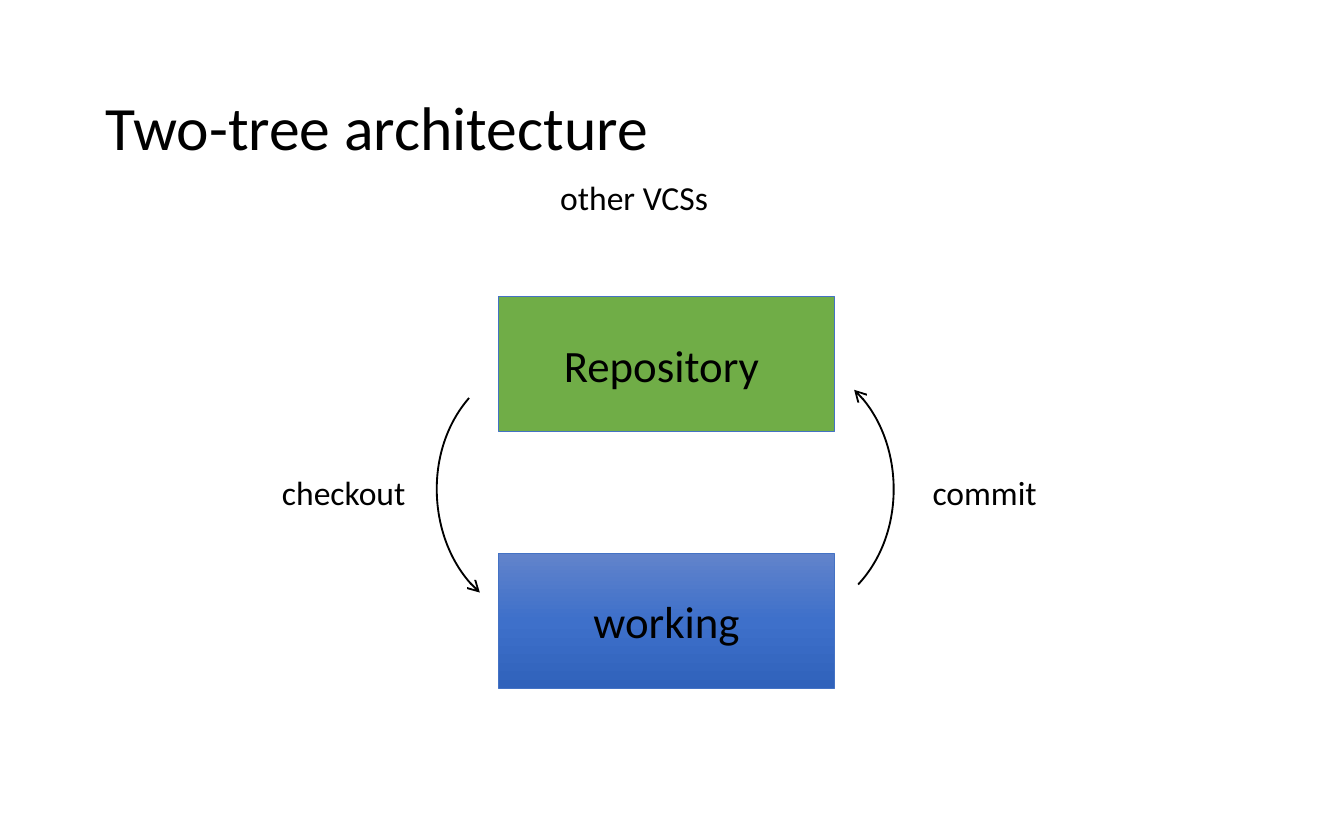
from copy import deepcopy

from lxml import etree
from pptx import Presentation
from pptx.dml.color import RGBColor
from pptx.enum.shapes import MSO_CONNECTOR, MSO_SHAPE
from pptx.enum.text import MSO_ANCHOR, PP_ALIGN
from pptx.oxml.ns import qn
from pptx.util import Emu, Pt

EMU_PER_PX = 9144
CURVE = MSO_CONNECTOR.CURVE
RECTANGLE = MSO_SHAPE.RECTANGLE
TOP, MIDDLE = MSO_ANCHOR.TOP, MSO_ANCHOR.MIDDLE
LEFT, CENTER = PP_ALIGN.LEFT, PP_ALIGN.CENTER


def px(length):
    return Emu(length * EMU_PER_PX)


def color(hex_string):
    return RGBColor.from_string(hex_string)


class SlideBuilder:
    font_name = "Calibri"
    ink = "000000"
    border = "4472C4"

    def __init__(self, slide):
        self.slide = slide
        self.diagram = slide.shapes.add_group_shape()

    def set_text(self, shape, text, size, anchor, alignment):
        frame = shape.text_frame
        frame.text = text
        frame.vertical_anchor = anchor
        paragraph = frame.paragraphs[0]
        paragraph.alignment = alignment
        for run in paragraph.runs:
            run.font.name = self.font_name
            run.font.size = Pt(size)
            run.font.color.rgb = color(self.ink)

    def label(self, bounds, text, size=18, anchor=TOP, wrap=True):
        shape = self.slide.shapes.add_textbox(*map(px, bounds))
        shape.text_frame.word_wrap = wrap
        self.set_text(shape, text, size, anchor, LEFT)

    def tree(self, bounds, text, fill_colors):
        """Add a box with one solid color, or an even downward gradient of three."""
        shape = self.diagram.shapes.add_shape(RECTANGLE, *map(px, bounds))
        shape.shadow.inherit = False
        shape.line.color.rgb = color(self.border)
        shape.line.width = Pt(0.5)
        if len(fill_colors) == 1:
            shape.fill.solid()
            shape.fill.fore_color.rgb = color(fill_colors[0])
        else:
            shape.fill.gradient()
            shape.fill.gradient_angle = 270
            first_stop = shape._element.spPr.find(".//" + qn("a:gs"))
            first_stop.addnext(deepcopy(first_stop))
            for index, stop in enumerate(shape.fill.gradient_stops):
                stop.position = index / (len(fill_colors) - 1)
                stop.color.rgb = color(fill_colors[index])
        self.set_text(shape, text, 24, MIDDLE, CENTER)

    def curved_arrow(self, bounds, rotation):
        """Add a quarter curve, flipped vertically and turned clockwise."""
        left, top, width, height = bounds
        connector = self.diagram.shapes.add_connector(
            CURVE, px(left), px(top + height), px(left + width), px(top))
        properties = connector._element.spPr
        properties.find(qn("a:prstGeom")).set("prst", "curvedConnector2")
        properties.find(qn("a:xfrm")).set("rot", str(rotation * 60000))
        connector.line.color.rgb = color(self.ink)
        connector.line.width = Pt(1)
        line = properties.find(qn("a:ln"))
        etree.SubElement(line, qn("a:tailEnd"), type="arrow")
        etree.SubElement(properties, qn("a:effectLst"))


def main():
    presentation = Presentation()
    presentation.slide_width = px(1000)
    presentation.slide_height = px(625)
    builder = SlideBuilder(
        presentation.slides.add_slide(presentation.slide_layouts[6]))

    builder.label((69, 33, 862, 121), "Two-tree architecture", 33, MIDDLE)
    builder.label((407, 127, 172, 40), "other VCSs")

    trees = [("Repository ", ["70AD47"]),
             ("working", ["6183CB", "3E70CA", "3062BB"])]
    for row, (text, fill_colors) in enumerate(trees):
        builder.tree((371, 221 + 191 * row, 250, 100), text, fill_colors)

    builder.curved_arrow((301, 318, 104, 101), 131)
    builder.curved_arrow((585, 312, 104, 101), 313)
    builder.label((200, 346, 113, 40), "checkout", wrap=False)
    builder.label((684, 346, 99, 40), "commit", wrap=False)

    presentation.save("out.pptx")


if __name__ == "__main__":
    main()
